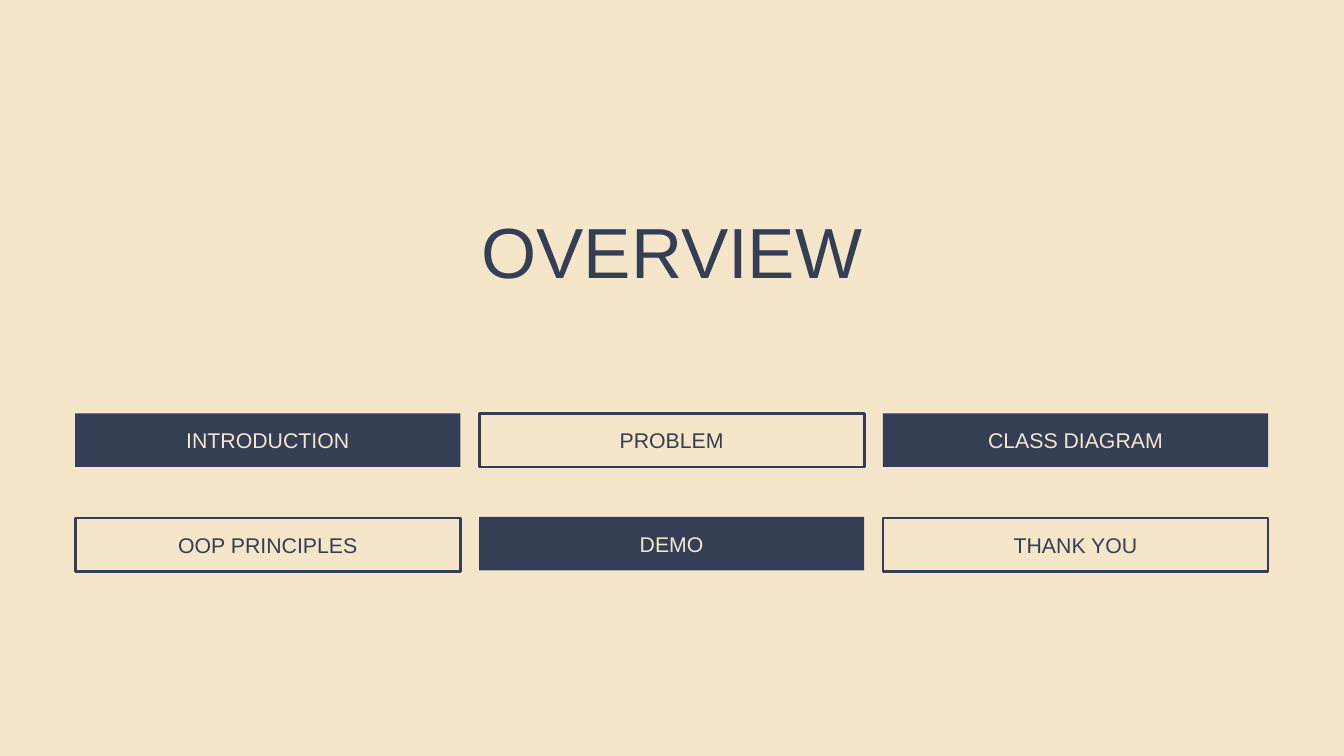
from pptx import Presentation
from pptx.dml.color import RGBColor
from pptx.enum.shapes import MSO_SHAPE as Shape
from pptx.enum.text import PP_ALIGN as Align
from pptx.util import Inches, Pt

NAVY, CREAM = "343F56", "F5E6CA"
TITLE = "OVERVIEW"
# Label, top of box, width of text; filled and outlined boxes alternate
ITEMS = [
    ("INTRODUCTION", 6.15, 3.71),
    ("PROBLEM", 6.15, 4.54),
    ("CLASS DIAGRAM", 6.15, 4.54),
    ("OOP PRINCIPLES", 7.71, 3.72),
    ("DEMO", 7.69, 5.13),
    ("THANK YOU", 7.71, 3.71),
]
COLS = 3
LEFT, STEP = 1.12, 6.01
WIDTH, HEIGHT = 5.73, 0.8


def color(code):
    return RGBColor.from_string(code)


def add_text(text, x, y, w, h, size=22.8, lead=32, ink=NAVY):
    box = slide.shapes.add_textbox(Inches(x), Inches(y), Inches(w), Inches(h))
    frame = box.text_frame
    frame.word_wrap = True
    frame.margin_left = frame.margin_right = 0
    frame.margin_top = frame.margin_bottom = 0
    para = frame.paragraphs[0]
    para.alignment = Align.CENTER
    para.line_spacing = Pt(lead)
    run = para.add_run()
    run.text = text
    run.font.name = "Arial"
    run.font.size = Pt(size)
    run.font.color.rgb = color(ink)


def add_box(x, y, solid):
    box = slide.shapes.add_shape(
        Shape.RECTANGLE, Inches(x), Inches(y), Inches(WIDTH), Inches(HEIGHT))
    box.shadow.inherit = False
    if solid:
        box.fill.solid()
        box.fill.fore_color.rgb = color(NAVY)
        box.line.fill.background()
    else:
        box.fill.background()
        box.line.color.rgb = color(NAVY)
        box.line.width = Pt(3)


# Slide and background
deck = Presentation()
deck.slide_width, deck.slide_height = Inches(20), Inches(11.25)
slide = deck.slides.add_slide(deck.slide_layouts[6])
slide.background.fill.solid()
slide.background.fill.fore_color.rgb = color(CREAM)

# Grid of topics
for i, (label, top, wide) in enumerate(ITEMS):
    left = LEFT + i % COLS * STEP
    solid = i % 2 == 0
    add_box(left, top, solid)
    add_text(label, left + (WIDTH - wide) / 2, top + 0.15, wide, 0.44,
             ink=CREAM if solid else NAVY)

# Title
add_text(TITLE, 4.9, 2.88, 10.2, 1.42, size=76, lead=106.4)

deck.save("out.pptx")
